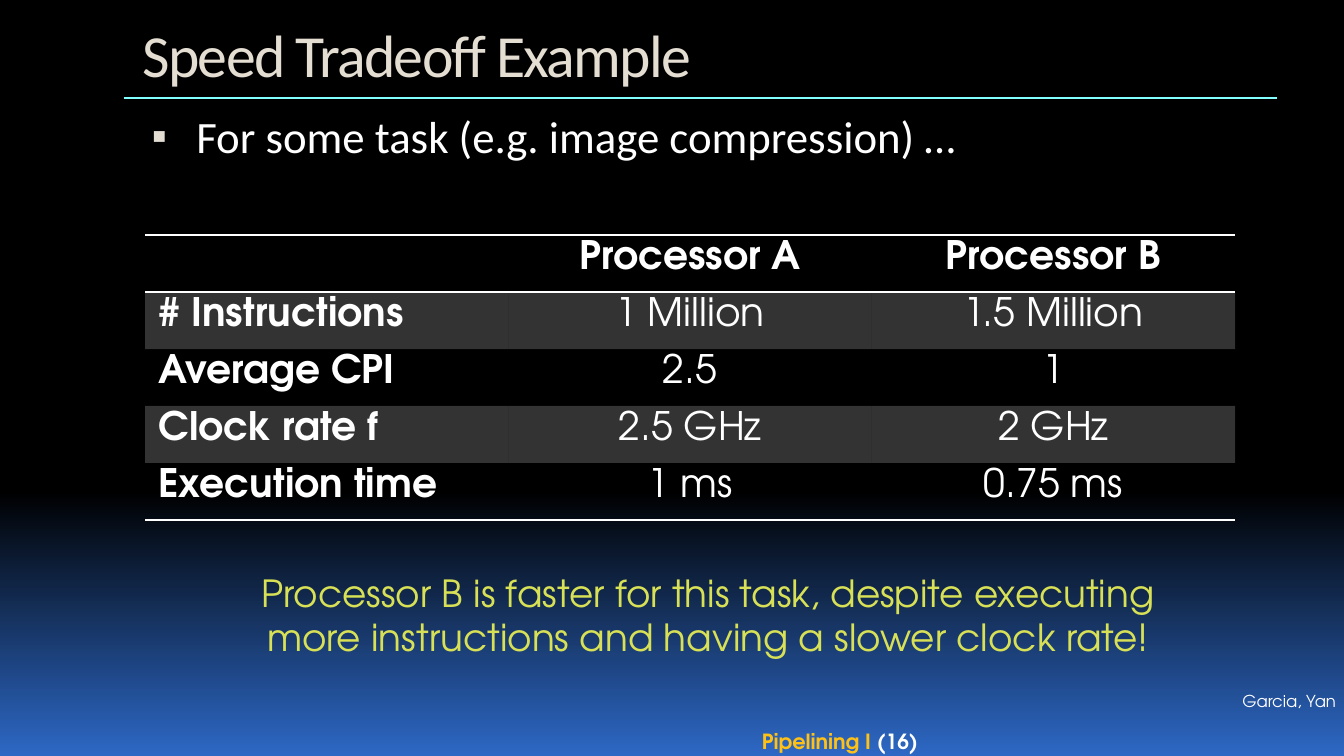
"""Build the slide that compares the speed of two processors."""
from typing import NamedTuple

from lxml.etree import SubElement
from pptx import Presentation
from pptx.dml.color import RGBColor
from pptx.enum.shapes import MSO_CONNECTOR
from pptx.enum.text import MSO_ANCHOR, PP_ALIGN as Align
from pptx.oxml.ns import qn
from pptx.util import Inches, Pt

BLACK = RGBColor(0x00, 0x00, 0x00)
BLUE = RGBColor(0x2D, 0x68, 0xC5)
WHITE = RGBColor(0xFF, 0xFF, 0xFF)
CREAM = RGBColor(0xE4, 0xDD, 0xD2)
CYAN = RGBColor(0x82, 0xFF, 0xFF)
GOLD = RGBColor(0xFF, 0xC1, 0x15)
LIME = RGBColor(0xD8, 0xE1, 0x56)
HEAD_FONT = "Calibri"
TEXT_FONT = "TeX Gyre Adventor"
NO_TABLE_STYLE = "{2D5ABB26-0587-4C30-8999-92F81FD0307C}"
PAGE_WIDTH = Inches(10)
PAGE_HEIGHT = PAGE_WIDTH * 9 // 16
ROWS = [
    ("", "Processor A", "Processor B"),
    ("# Instructions", "1 Million", "1.5 Million"),
    ("Average CPI", "2.5", "1"),
    ("Clock rate f", "2.5 GHz", "2 GHz"),
    ("Execution time", "1 ms", "0.75 ms"),
]


class Span(NamedTuple):
    text: str
    size: float
    color: RGBColor = WHITE
    font: str = TEXT_FONT
    bold: bool = False


class Block(NamedTuple):
    area: tuple[float, float, float, float]
    spans: list[Span]
    align: Align = Align.LEFT
    inset: tuple[float, float] = (0.14, 0.07)


TITLE = Block((0.92, 0.06, 8.61, 0.62),
              [Span("Speed Tradeoff Example", 32, CREAM, HEAD_FONT)])
TASK = Block((0.92, 0.74, 8.61, 4.4),
             [Span("For some task (e.g. image compression) …", 24, font=HEAD_FONT)])
VERDICT = Block((1.76, 4.19, 7.02, 0.77),
                [Span("Processor B is faster for this task, despite executing "
                      "more instructions and having a slower clock rate!", 20, LIME)],
                Align.CENTER, (0.1, 0.05))
FOOTER = Block((2.5, 5.4, 7.5, 0.24),
               [Span("Pipelining I ", 11.2, GOLD, bold=True),
                Span("(16)", 11.2, bold=True)], Align.CENTER, (0.06, 0.02))
AUTHORS = Block((8.92, 5.12, 1.08, 0.2), [Span("Garcia, Yan", 8.8)],
                Align.RIGHT, (0.06, 0.02))


def set_all(target: object, values: dict) -> None:
    for name, value in values.items():
        setattr(target, name, value)


def add_span(para, span: Span) -> None:
    run = para.add_run()
    run.text = span.text
    set_all(run.font, {"size": Pt(span.size), "name": span.font, "bold": span.bold})
    run.font.color.rgb = span.color


def add_block(page, block: Block):
    box = page.shapes.add_textbox(*map(Inches, block.area))
    across, down = map(Inches, block.inset)
    set_all(box.text_frame, {
        "word_wrap": True, "margin_left": across, "margin_right": across,
        "margin_top": down, "margin_bottom": down})
    para = box.text_frame.paragraphs[0]
    para.alignment = block.align
    for span in block.spans:
        add_span(para, span)
    return para


def add_bullet(para) -> None:
    props = para._p.get_or_add_pPr()
    for name, length in {"marL": 0.4, "indent": -0.33}.items():
        props.set(name, str(int(Inches(length))))
    tint = SubElement(props, qn("a:buClr"))
    SubElement(tint, qn("a:srgbClr"), val=str(CREAM))
    SubElement(props, qn("a:buSzPct"), val="95000")
    SubElement(props, qn("a:buFont"), typeface=HEAD_FONT)
    SubElement(props, qn("a:buChar"), char="▪")


def add_border(cell, side: str) -> None:
    line = SubElement(cell._tc.get_or_add_tcPr(), qn(f"a:{side}"), w=str(int(Pt(1))))
    SubElement(SubElement(line, qn("a:solidFill")), qn("a:srgbClr"), val=str(WHITE))


def fill_cell(cell, shaded: bool) -> None:
    if not shaded:
        cell.fill.background()
        return
    cell.fill.solid()
    cell.fill.fore_color.rgb = WHITE
    tint = cell._tc.tcPr.find(f"{qn('a:solidFill')}/{qn('a:srgbClr')}")
    SubElement(tint, qn("a:alpha"), val="20000")


def add_comparison(page) -> None:
    area = map(Inches, (1.08, 1.75, 8.11, 2.12))
    table = page.shapes.add_table(len(ROWS), len(ROWS[0]), *area).table
    set_all(table, {"first_row": False, "horz_banding": False})
    table._tbl.tblPr.find(qn("a:tableStyleId")).text = NO_TABLE_STYLE
    for r, row in enumerate(ROWS):
        for c, text in enumerate(row):
            cell = table.cell(r, c)
            set_all(cell, {
                "margin_left": Inches(0.1), "margin_right": Inches(0.1),
                "margin_top": Inches(0.04), "margin_bottom": Inches(0.03),
                "vertical_anchor": MSO_ANCHOR.TOP})
            if r == 0:
                add_border(cell, "lnT")
            if r in (0, len(ROWS) - 1):
                add_border(cell, "lnB")
            fill_cell(cell, shaded=r % 2 == 1)
            if text:
                para = cell.text_frame.paragraphs[0]
                para.alignment = Align.CENTER if c else Align.LEFT
                add_span(para, Span(text, 21, bold=r == 0 or c == 0))


def add_rule(page) -> None:
    ends = map(Inches, (0.92, 0.73, 9.5, 0.73))
    rule = page.shapes.add_connector(MSO_CONNECTOR.STRAIGHT, *ends)
    rule.line.color.rgb = CYAN
    rule.line.width = Pt(1.5)
    SubElement(rule._element.spPr, qn("a:effectLst"))


def paint_background(page) -> None:
    fill = page.background.fill
    fill.gradient()
    fill.gradient_angle = 270
    for stop, (position, color) in zip(fill.gradient_stops, [(0.65, BLACK), (1, BLUE)]):
        stop.position = position
        stop.color.rgb = color


def main() -> None:
    deck = Presentation()
    set_all(deck, {"slide_width": PAGE_WIDTH, "slide_height": PAGE_HEIGHT})
    page = deck.slides.add_slide(deck.slide_layouts[6])
    paint_background(page)
    add_block(page, FOOTER)
    add_rule(page)
    add_block(page, AUTHORS)
    add_bullet(add_block(page, TASK))
    title = add_block(page, TITLE)
    title.runs[0].font._element.set("spc", "-90")
    add_comparison(page)
    add_block(page, VERDICT)
    deck.save("out.pptx")


if __name__ == "__main__":
    main()
